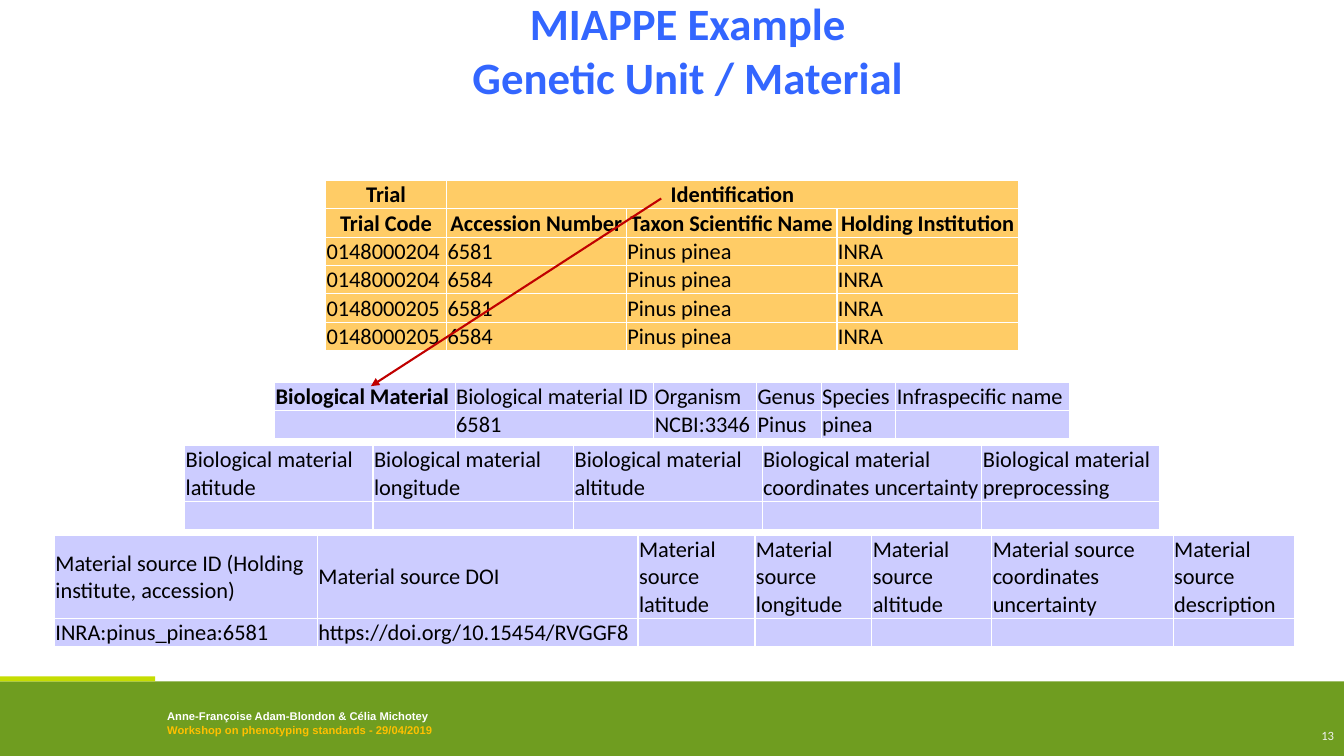
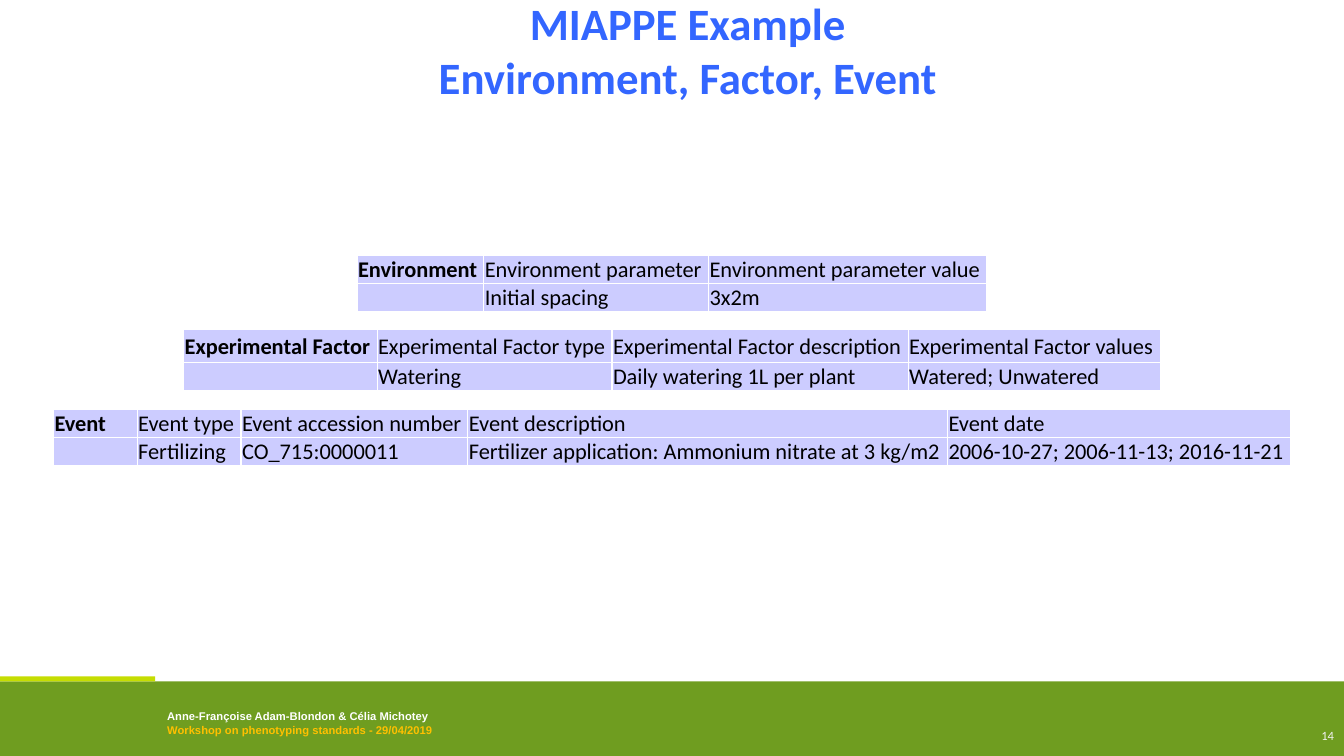
"""Build two slides of plant trial tables with a shared title style and footer."""
from dataclasses import dataclass
from typing import Any, NamedTuple

from lxml.etree import SubElement
from pptx import Presentation
from pptx.dml.color import RGBColor
from pptx.enum.shapes import MSO_CONNECTOR, MSO_SHAPE
from pptx.enum.text import MSO_ANCHOR, MSO_AUTO_SIZE, PP_ALIGN
from pptx.oxml.ns import qn
from pptx.slide import Slide
from pptx.table import _Cell
from pptx.util import Pt


@dataclass(frozen=True)
class Theme:
    wide: float = 960
    high: float = 540
    font: str = "Calibri"
    foot_font: str = "Arial"
    title: str = "3366FF"
    band: str = "6F9D20"
    tab: str = "C5DD01"
    gold: str = "FFC000"
    white: str = "FFFFFF"
    black: str = "000000"
    pale: str = "F2F2F2"
    amber: str = "FFCC66"
    lilac: str = "CCCCFF"
    arrow: str = "C00000"
    title_size: float = 32
    cell_size: float = 16
    page_size: float = 9
    foot_size: float = 8


THEME = Theme()


class Box(NamedTuple):
    left: float
    top: float
    width: float
    height: float


class Bar(NamedTuple):
    box: Box
    fill: str


class Line(NamedTuple):
    start: tuple[float, float]
    end: tuple[float, float]


@dataclass(frozen=True)
class Grid:
    top: float
    cols: tuple[float, ...]
    rows: tuple[tuple[str, ...], ...]
    fill: str = THEME.lilac
    head: float = 20.25
    bold: bool = True
    titles: int = 0
    merge: tuple[int, int] | None = None
    shift: float = 0


@dataclass(frozen=True)
class Page:
    number: int
    title: tuple[str, str]
    grids: tuple[Grid, ...]
    lines: tuple[Line, ...] = ()


TITLE = Box(177.8, 0, 627.1, 71.3)
FOOT = Box(112.3, 503.3, 325.4, 26.6)
NUMBER = Box(735.8, 511.2, 224.2, 28.8)
BARS = (
    Bar(Box(0, 486.7, THEME.wide, 53.3), THEME.band),
    Bar(Box(0, 483.1, 110.9, 3.6), THEME.tab),
)
CREDITS = (
    ("Anne-Françoise Adam-Blondon & Célia Michotey", THEME.white),
    ("Workshop on phenotyping standards - 29/04/2019", THEME.gold),
)
ROW = 20.25
INSET = {"margin_left": Pt(0.72), "margin_right": Pt(0.72),
         "margin_top": Pt(0.72), "margin_bottom": Pt(0)}

PAGES = (
    Page(
        13,
        ("MIAPPE Example", "Genetic Unit / Material"),
        (
            Grid(128.9, (86.4, 128.4, 150.5, 129.6), (
                ("Trial", "Identification", "", ""),
                ("Trial Code", "Accession Number", "Taxon Scientific Name",
                 "Holding Institution"),
                *((trial, code, "Pinus pinea", "INRA")
                  for trial in ("0148000204", "0148000205")
                  for code in ("6581", "6584")),
            ), fill=THEME.amber, titles=2, merge=(1, 3)),
            Grid(272.9, (128.9, 141.9, 73.5, 46.1, 53.3, 123.8), (
                ("Biological Material", "Biological material ID", "Organism",
                 "Genus", "Species", "Infraspecific name"),
                ("", "6581", "NCBI:3346", "Pinus", "pinea", ""),
            )),
            Grid(318.2, (134.6, 143.3, 134.6, 157, 126.7), (
                tuple(f"Biological material {part}" for part in (
                    "latitude", "longitude", "altitude",
                    "coordinates uncertainty", "preprocessing")),
                ("",) * 5,
            ), head=39.75, bold=False),
            Grid(382.3, (187.9, 229, 83.5, 83.5, 85.7, 129.6, 86.4), (
                tuple(f"Material source {part}" for part in (
                    "ID (Holding institute, accession)", "DOI", "latitude",
                    "longitude", "altitude", "coordinates uncertainty",
                    "description")),
                ("INRA:pinus_pinea:6581", "https://doi.org/10.15454/RVGGF8",
                 *("",) * 5),
            ), head=59.3, bold=False, shift=1.7),
        ),
        (Line((472.3, 141.8), (265, 275.8)),),
    ),
    Page(
        14,
        ("MIAPPE Example", "Environment, Factor, Event"),
        (
            Grid(182.2, (90.5, 160.6, 198.7), (
                ("Environment", "Environment parameter",
                 "Environment parameter value"),
                ("", "Initial spacing", "3x2m"),
            )),
            Grid(235.4, (138.2, 167.8, 211.6, 180), (
                ("Experimental Factor", "Experimental Factor type",
                 "Experimental Factor description",
                 "Experimental Factor values"),
                ("", "Watering", "Daily watering 1L per plant",
                 "Watered; Unwatered"),
            ), head=23.4),
            Grid(292.3, (59.8, 74.2, 162, 342.7, 244.8), (
                ("Event", "Event type", "Event accession number",
                 "Event description", "Event date"),
                ("", "Fertilizing", "CO_715:0000011",
                 "Fertilizer application: Ammonium nitrate at 3 kg/m2",
                 "2006-10-27; 2006-11-13; 2016-11-21"),
            )),
        ),
    ),
)


def apply(item: Any, values: dict[str, Any]) -> None:
    for key, value in values.items():
        setattr(item, key, value)


def points(box: Box) -> tuple[Pt, ...]:
    return tuple(Pt(side) for side in box)


def paint(font: Any, size: float, color: str, bold: bool = False,
          name: str = THEME.font) -> None:
    apply(font, {"size": Pt(size), "bold": bold, "name": name})
    font.color.rgb = RGBColor.from_string(color)


def add_title(slide: Slide, lines: tuple[str, str]) -> None:
    title = slide.shapes.title
    apply(title, dict(zip(("left", "top", "width", "height"), points(TITLE))))
    apply(title.text_frame, {"vertical_anchor": MSO_ANCHOR.MIDDLE,
                             "auto_size": MSO_AUTO_SIZE.NONE,
                             "word_wrap": True})
    para = title.text_frame.paragraphs[0]
    para.alignment = PP_ALIGN.CENTER
    for index, line in enumerate(lines):
        if index:
            para.add_line_break()
        run = para.add_run()
        run.text = line
        paint(run.font, THEME.title_size, THEME.title, True)


def add_foot(slide: Slide, number: int) -> None:
    for bar in BARS:
        shape = slide.shapes.add_shape(MSO_SHAPE.RECTANGLE, *points(bar.box))
        shape.shadow.inherit = False
        shape.fill.solid()
        shape.fill.fore_color.rgb = RGBColor.from_string(bar.fill)
        shape.line.fill.background()
    frame = slide.shapes.add_textbox(*points(FOOT)).text_frame
    frame.word_wrap = True
    for index, (text, color) in enumerate(CREDITS):
        para = frame.add_paragraph() if index else frame.paragraphs[0]
        run = para.add_run()
        run.text = text
        paint(run.font, THEME.foot_size, color, True, THEME.foot_font)
    frame = slide.shapes.add_textbox(*points(NUMBER)).text_frame
    apply(frame, {"word_wrap": True, "vertical_anchor": MSO_ANCHOR.MIDDLE})
    para = frame.paragraphs[0]
    para.alignment = PP_ALIGN.RIGHT
    run = para.add_run()
    run.text = str(number)
    paint(run.font, THEME.page_size, THEME.pale)


def add_edges(cell: _Cell) -> None:
    props = cell._tc.get_or_add_tcPr()
    for side in ("lnL", "lnR", "lnT", "lnB"):
        line = SubElement(props, qn(f"a:{side}"), w=str(Pt(1)))
        fill = SubElement(line, qn("a:solidFill"))
        SubElement(fill, qn("a:srgbClr"), val=THEME.white)


def fill_cell(cell: _Cell, text: str, fill: str, bold: bool, title: bool,
              anchor: MSO_ANCHOR) -> None:
    apply(cell, {**INSET, "vertical_anchor": anchor})
    add_edges(cell)
    cell.fill.solid()
    cell.fill.fore_color.rgb = RGBColor.from_string(fill)
    para = cell.text_frame.paragraphs[0]
    para.alignment = PP_ALIGN.CENTER if title else PP_ALIGN.LEFT
    if text:
        run = para.add_run()
        run.text = text
        paint(run.font, THEME.cell_size, THEME.black, bold)
    else:
        end = SubElement(para._p, qn("a:endParaRPr"),
                         sz=str(int(THEME.cell_size * 100)))
        SubElement(end, qn("a:latin"), typeface=THEME.font)


def add_grid(slide: Slide, grid: Grid) -> None:
    width = sum(grid.cols)
    highs = [grid.head] + [ROW] * (len(grid.rows) - 1)
    box = Box((THEME.wide - width) / 2 + grid.shift, grid.top, width, sum(highs))
    table = slide.shapes.add_table(len(grid.rows), len(grid.cols),
                                   *points(box)).table
    apply(table, {"first_row": False, "horz_banding": False})
    for col, wide in zip(table.columns, grid.cols):
        col.width = Pt(wide)
    for row, high in zip(table.rows, highs):
        row.height = Pt(high)
    heads = max(1, grid.titles)
    for y, texts in enumerate(grid.rows):
        title = y < grid.titles
        anchor = MSO_ANCHOR.MIDDLE if y < heads else MSO_ANCHOR.BOTTOM
        for x, text in enumerate(texts):
            bold = title or (grid.bold and x == y == 0)
            fill_cell(table.cell(y, x), text, grid.fill, bold, title, anchor)
    if grid.merge:
        first, last = grid.merge
        table.cell(0, first).merge(table.cell(0, last))


def add_arrow(slide: Slide, line: Line) -> None:
    ends = (Pt(value) for value in (*line.start, *line.end))
    arrow = slide.shapes.add_connector(MSO_CONNECTOR.STRAIGHT, *ends)
    arrow.line.color.rgb = RGBColor.from_string(THEME.arrow)
    arrow.line.width = Pt(1.5)
    SubElement(arrow.line._get_or_add_ln(), qn("a:tailEnd"), type="triangle")
    SubElement(arrow._element.spPr, qn("a:effectLst"))


def main() -> None:
    deck = Presentation()
    apply(deck, {"slide_width": Pt(THEME.wide), "slide_height": Pt(THEME.high)})
    for page in PAGES:
        slide = deck.slides.add_slide(deck.slide_layouts[5])
        add_foot(slide, page.number)
        add_title(slide, page.title)
        for grid in page.grids:
            add_grid(slide, grid)
        for line in page.lines:
            add_arrow(slide, line)
    deck.save("out.pptx")


if __name__ == "__main__":
    main()
